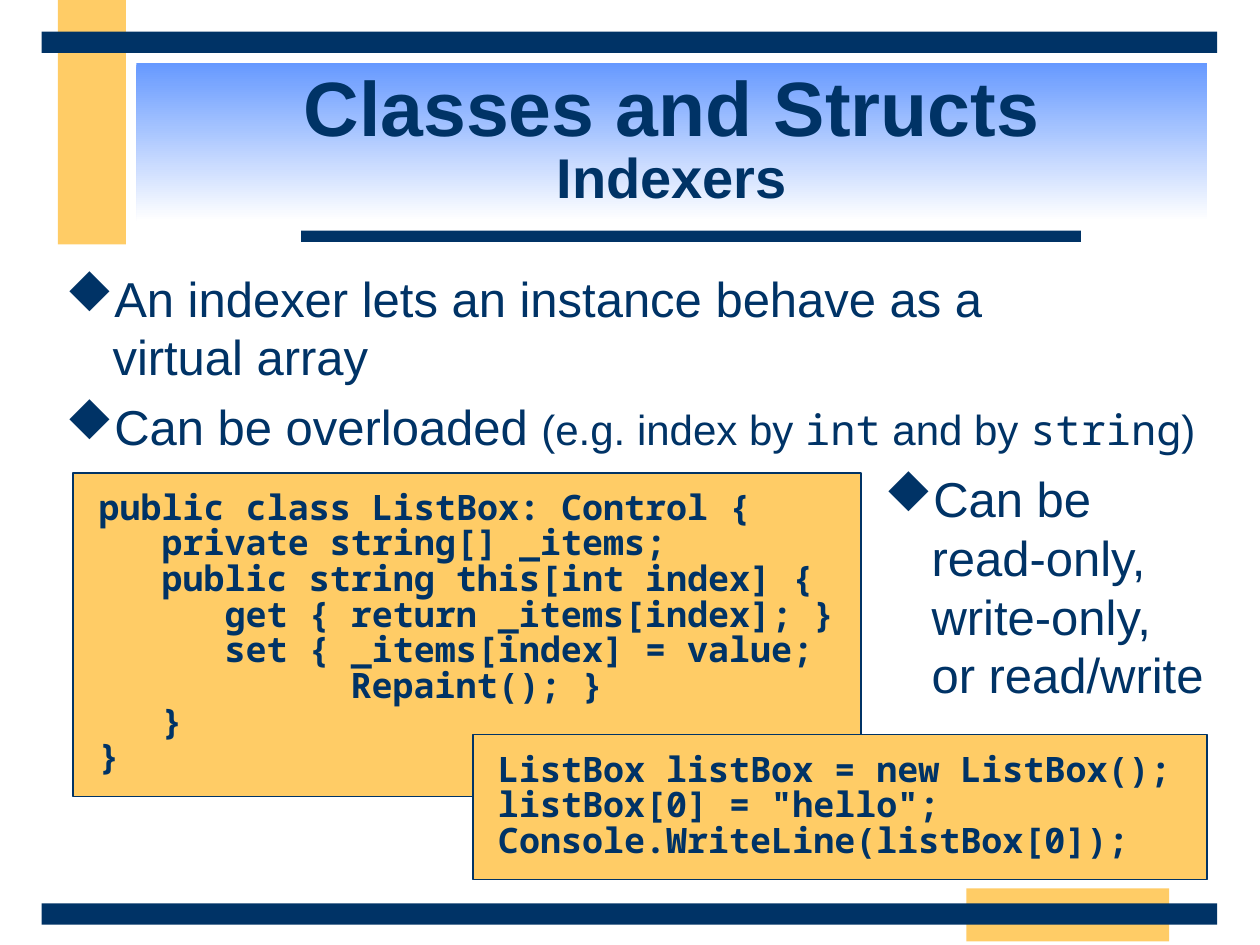
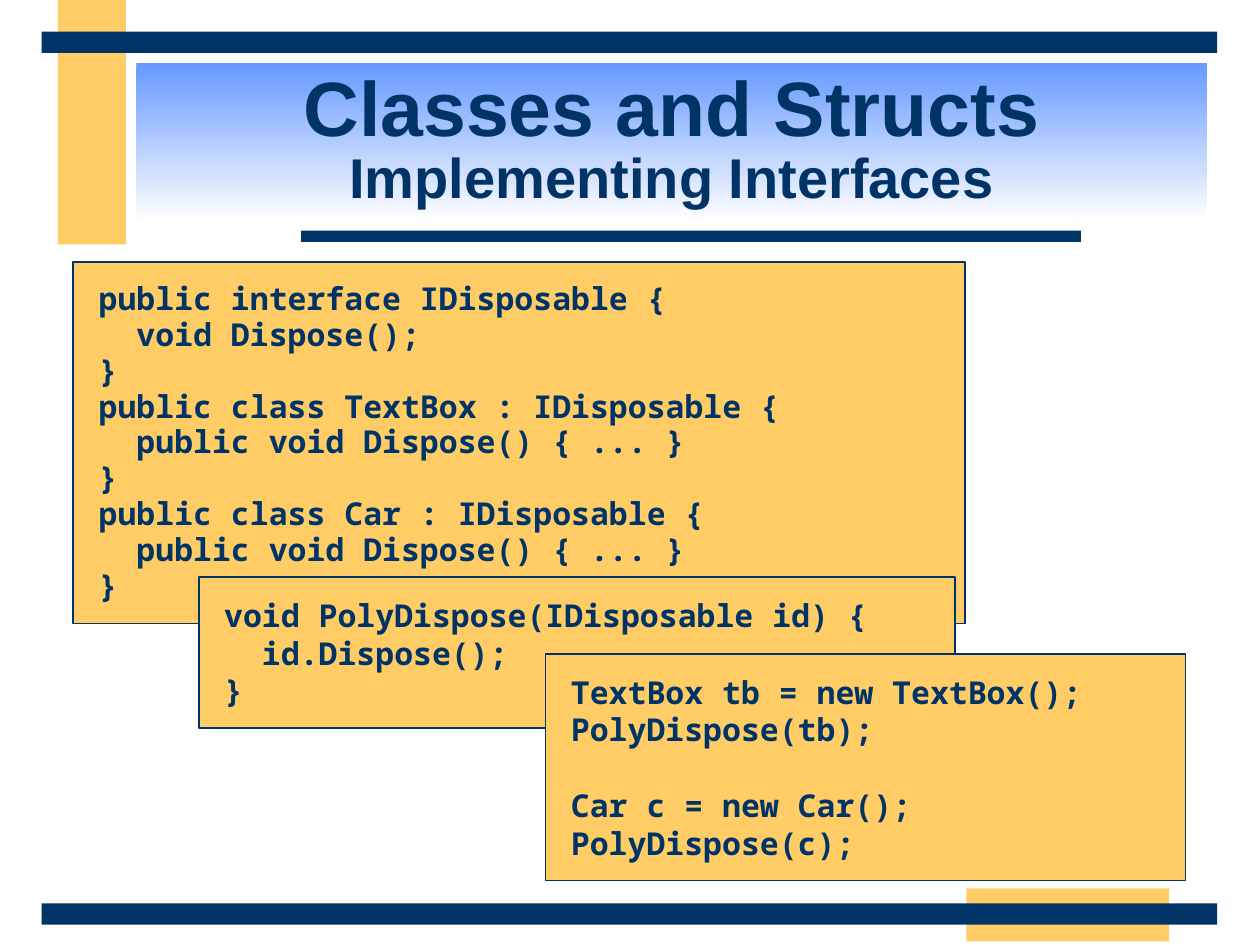
from dataclasses import dataclass

from lxml import etree
from pptx import Presentation
from pptx.dml.color import RGBColor
from pptx.enum.shapes import MSO_SHAPE
from pptx.enum.text import MSO_ANCHOR, MSO_AUTO_SIZE, PP_ALIGN
from pptx.oxml.ns import qn
from pptx.util import Cm, Pt

RECTANGLE = MSO_SHAPE.RECTANGLE
TOP, MIDDLE = MSO_ANCHOR.TOP, MSO_ANCHOR.MIDDLE
LEFT, CENTER = PP_ALIGN.LEFT, PP_ALIGN.CENTER
NO_FIT, GROW = MSO_AUTO_SIZE.NONE, MSO_AUTO_SIZE.SHAPE_TO_FIT_TEXT

COLORS = {"navy": "003366", "gold": "FFCC66", "sky": "6699FF", "white": "FFFFFF"}
SANS, MONO = "Arial", "Noto Sans Mono"
BULLET_FONT, DIAMOND = "Wingdings", "u"  # this letter is the diamond in the symbol font
TITLE_ONLY = 5
LINE_HEIGHT = 1.2  # line pitch relative to the text size
MONO_WIDTH = 0.6  # character width relative to the text size


@dataclass(frozen=True)
class Area:
    left: float
    top: float
    width: float
    height: float

    def lengths(self) -> tuple:
        return Cm(self.left), Cm(self.top), Cm(self.width), Cm(self.height)


@dataclass(frozen=True)
class Band:
    area: Area
    color: str


@dataclass(frozen=True)
class CodeLine:
    text: str
    column: int = 0
    blank_lines_before: int = 0


@dataclass(frozen=True)
class CodeBox:
    area: Area
    lines: tuple[CodeLine, ...]
    size: int = 18
    spacing: float = 1.0


@dataclass(frozen=True)
class Span:
    text: str
    size: int = 28
    font: str = SANS


@dataclass(frozen=True)
class BulletBox:
    area: Area
    bullets: tuple[tuple[Span, ...], ...]


@dataclass(frozen=True)
class Page:
    subtitle: str
    code_boxes: tuple[CodeBox, ...]
    bullet_boxes: tuple[BulletBox, ...] = ()


# Shared frame
TITLE_AREA = Area(2.75, 1.27, 21.59, 3.18)
BANDS = (
    Band(Area(1.17, 0, 1.37, 4.93), "gold"),
    Band(Area(19.48, 17.91, 4.09, 1.07), "gold"),
    Band(Area(6.07, 4.65, 15.72, 0.23), "navy"),
    Band(Area(0.84, 18.21, 23.7, 0.43), "navy"),
    Band(Area(0.84, 0.64, 23.7, 0.43), "navy"),
)

# Content
PAGES = (
    Page(
        "Indexers",
        (
            CodeBox(Area(1.48, 9.53, 15.88, 6.53), (
                CodeLine("public class ListBox: Control {"),
                CodeLine("private string[] _items;", 3),
                CodeLine("public string this[int index] {", 3),
                CodeLine("get { return _items[index]; }", 6),
                CodeLine("set { _items[index] = value;", 6),
                CodeLine("Repaint(); }", 12),
                CodeLine("}", 3),
                CodeLine("}"),
            ), 20, 0.85),
            CodeBox(Area(9.53, 14.81, 14.81, 2.92), (
                CodeLine("ListBox listBox = new ListBox();"),
                CodeLine('listBox[0] = "hello";'),
                CodeLine("Console.WriteLine(listBox[0]);"),
            ), 20, 0.85),
        ),
        (
            BulletBox(Area(1.07, 5.28, 24.13, 12.5), (
                (Span("An indexer lets an instance behave as a\nvirtual array"),),
                (
                    Span("Can be overloaded "),
                    Span("(e.g. index by ", 24),
                    Span("int", 24, MONO),
                    Span(" and by ", 24),
                    Span("string", 24, MONO),
                    Span(")", 24),
                ),
            )),
            BulletBox(Area(17.58, 9.32, 7.42, 5.08), (
                (Span("Can be\nread-only, write-only,\nor read/write"),),
            )),
        ),
    ),
    Page(
        "Implementing Interfaces",
        (
            CodeBox(Area(1.48, 5.28, 17.98, 7.29), (
                CodeLine("public interface IDisposable {"),
                CodeLine("void Dispose();", 2),
                CodeLine("}"),
                CodeLine("public class TextBox : IDisposable {"),
                CodeLine("public void Dispose() { ... }", 2),
                CodeLine("}"),
                CodeLine("public class Car : IDisposable {"),
                CodeLine("public void Dispose() { ... }", 2),
                CodeLine("}"),
            ), spacing=0.95),
            CodeBox(Area(4.01, 11.63, 15.24, 3.05), (
                CodeLine("void PolyDispose(IDisposable id) {"),
                CodeLine("id.Dispose();", 2),
                CodeLine("}"),
            )),
            CodeBox(Area(11, 13.18, 12.9, 4.57), (
                CodeLine("TextBox tb = new TextBox();"),
                CodeLine("PolyDispose(tb);"),
                CodeLine("Car c = new Car();", blank_lines_before=1),
                CodeLine("PolyDispose(c);"),
            )),
        ),
    ),
)


def rgb(name: str) -> RGBColor:
    return RGBColor.from_string(COLORS[name])


def apply_format(target, values: dict) -> None:
    for name, value in values.items():
        setattr(target, name, value)


def add_span(para, text: str, size: int, font: str, bold: bool) -> None:
    """Add text to a paragraph, turning each newline into a line break."""
    for index, piece in enumerate(text.split("\n")):
        if index:
            para.add_line_break()
        if piece:
            run = para.add_run()
            run.text = piece
            apply_format(run.font, {"size": Pt(size), "name": font, "bold": bold})
            run.font.color.rgb = rgb("navy")


def paragraph_at(frame, index: int):
    return frame.add_paragraph() if index else frame.paragraphs[0]


def add_rectangle(slide, area: Area, color: str):
    box = slide.shapes.add_shape(RECTANGLE, *area.lengths())
    box.shadow.inherit = False
    box.fill.solid()
    box.fill.fore_color.rgb = rgb(color)
    box.line.fill.background()
    return box


def set_title(slide, subtitle: str) -> None:
    title = slide.shapes.title
    apply_format(title, dict(zip(("left", "top", "width", "height"),
                                 TITLE_AREA.lengths())))
    title.fill.gradient()
    title.fill.gradient_angle = 270
    for stop, color in zip(title.fill.gradient_stops, ("sky", "white")):
        stop.color.rgb = rgb(color)
    apply_format(title.text_frame, {
        "vertical_anchor": MIDDLE, "auto_size": NO_FIT, "word_wrap": True})
    para = title.text_frame.paragraphs[0]
    apply_format(para, {"alignment": CENTER, "line_spacing": 0.85})
    add_span(para, "Classes and Structs\n", 44, SANS, True)
    add_span(para, subtitle, 32, SANS, True)


def add_code_box(slide, code: CodeBox) -> None:
    box = add_rectangle(slide, code.area, "gold")
    box.line.color.rgb = rgb("navy")
    box.line.width = Pt(1)
    frame = box.text_frame
    apply_format(frame, {
        "margin_left": Cm(0.51), "margin_right": Cm(0.51),
        "margin_top": Cm(0.38), "margin_bottom": Cm(0.38),
        "vertical_anchor": TOP, "word_wrap": True, "auto_size": GROW})
    pitch = code.size * LINE_HEIGHT * code.spacing
    for index, line in enumerate(code.lines):
        para = paragraph_at(frame, index)
        apply_format(para, {
            "alignment": LEFT, "line_spacing": Pt(pitch),
            "space_before": Pt(pitch * line.blank_lines_before)})
        indent = Pt(line.column * code.size * MONO_WIDTH)
        para._p.get_or_add_pPr().set("marL", str(indent))
        add_span(para, line.text, code.size, MONO, True)


def set_bullet(para) -> None:
    properties = para._p.get_or_add_pPr()
    properties.set("marL", str(Cm(0.95)))
    properties.set("indent", str(Cm(-0.95)))
    bullet_color = etree.SubElement(properties, qn("a:buClr"))
    etree.SubElement(bullet_color, qn("a:srgbClr")).set("val", COLORS["navy"])
    bullet_font = etree.SubElement(properties, qn("a:buFont"))
    bullet_font.set("typeface", BULLET_FONT)
    bullet_font.set("charset", "2")
    etree.SubElement(properties, qn("a:buChar")).set("char", DIAMOND)


def add_bullet_box(slide, bullet_box: BulletBox) -> None:
    frame = slide.shapes.add_textbox(*bullet_box.area.lengths()).text_frame
    frame.word_wrap = True
    for index, spans in enumerate(bullet_box.bullets):
        para = paragraph_at(frame, index)
        apply_format(para, {
            "space_before": Pt(6 if index else 7),
            "line_spacing": Pt(28 * LINE_HEIGHT)})
        set_bullet(para)
        for span in spans:
            add_span(para, span.text, span.size, span.font, False)


def main() -> None:
    deck = Presentation()
    deck.slide_width, deck.slide_height = Cm(25.4), Cm(19.05)
    for page in PAGES:
        slide = deck.slides.add_slide(deck.slide_layouts[TITLE_ONLY])
        for band in BANDS:
            add_rectangle(slide, band.area, band.color)
        set_title(slide, page.subtitle)
        for code in page.code_boxes:
            add_code_box(slide, code)
        for bullet_box in page.bullet_boxes:
            add_bullet_box(slide, bullet_box)
    deck.save("out.pptx")


if __name__ == "__main__":
    main()
